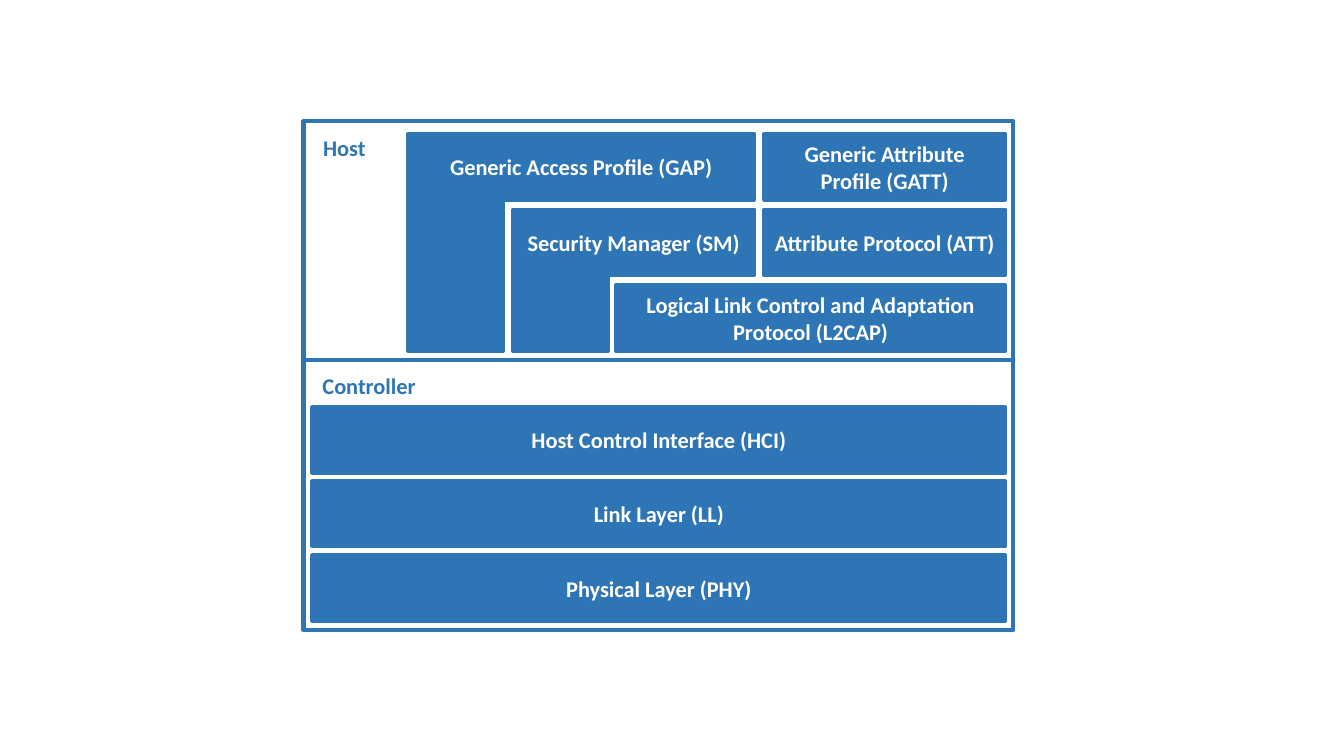
from dataclasses import dataclass

from lxml import etree
from pptx import Presentation
from pptx.dml.color import RGBColor
from pptx.enum.shapes import MSO_CONNECTOR, MSO_SHAPE
from pptx.enum.text import MSO_ANCHOR, MSO_AUTO_SIZE, PP_ALIGN
from pptx.oxml.ns import qn
from pptx.util import Emu, Pt

RECT = MSO_SHAPE.RECTANGLE
LINE = MSO_CONNECTOR.STRAIGHT
MIDDLE = MSO_ANCHOR.MIDDLE
GROW = MSO_AUTO_SIZE.SHAPE_TO_FIT_TEXT
LEFT, CENTER = PP_ALIGN.LEFT, PP_ALIGN.CENTER

SCALE = 9144  # EMU in one px, at 100 px to the inch
BLANK = 6


@dataclass(frozen=True)
class Theme:
    blue: RGBColor = RGBColor(0x2E, 0x75, 0xB6)
    white: RGBColor = RGBColor(0xFF, 0xFF, 0xFF)
    font: str = "Calibri"
    size: Pt = Pt(16)
    rule: Pt = Pt(3)


THEME = Theme()

# Frame and columns of the protocol stack
EDGE, TOP, WIDTH, DEPTH = 301, 120, 704, 505
SPLIT = 357
INNER, RIGHT = 310, 997
HIGH = 65
ROWS = [133 + 75 * i for i in range(3)]
BASE = ROWS[-1] + HIGH
GAP_X, SM_X, L2CAP_X, ATT_X = 405, 509, 611, 758
SM_END = 748
LEG = 94

HOST = [
    ("Logical Link Control and Adaptation Protocol (L2CAP)", L2CAP_X, RIGHT, 2),
    ("Attribute Protocol (ATT)", ATT_X, RIGHT, 1),
    ("Generic Attribute Profile (GATT)", ATT_X, RIGHT, 0),
    ("Security Manager (SM)", SM_X, SM_END, 1),
    ("Generic Access Profile (GAP)", GAP_X, SM_END, 0),
]
CONTROL = ["Host Control Interface (HCI)", "Link Layer (LL)",
           "Physical Layer (PHY)"]


def px(*sizes):
    return [Emu(size * SCALE) for size in sizes]


def write(frame, text, color, align):
    frame.text = text
    para = frame.paragraphs[0]
    para.alignment = align
    font = para.font
    font.name, font.size, font.bold = THEME.font, THEME.size, True
    font.color.rgb = color


def stroke(line):
    line.color.rgb = THEME.blue
    line.width = THEME.rule


def add_box(slide, left, top, width, height, text="", filled=True):
    box = slide.shapes.add_shape(RECT, *px(left, top, width, height))
    box.shadow.inherit = False
    stroke(box.line)
    if filled:
        box.fill.solid()
        box.fill.fore_color.rgb = THEME.blue
    else:
        box.fill.background()
    if text:
        box.text_frame.word_wrap = True
        box.text_frame.vertical_anchor = MIDDLE
        write(box.text_frame, text, THEME.white, CENTER)


def add_label(slide, text, top, width, align, wrap):
    label = slide.shapes.add_textbox(*px(INNER, top, width, 37))
    label.text_frame.word_wrap = wrap
    label.text_frame.auto_size = GROW
    write(label.text_frame, text, THEME.blue, align)


def add_rule(slide, left, right, top):
    rule = slide.shapes.add_connector(LINE, *px(left, top, right, top))
    stroke(rule.line)
    etree.SubElement(rule.element.spPr, qn("a:effectLst"))


def add_leg(slide, left, row):
    """Extend a host layer from the foot of its row down to the base."""
    top = ROWS[row] + HIGH + 1
    add_box(slide, left, top, LEG, BASE - top)


def main():
    deck = Presentation()
    deck.slide_width, deck.slide_height = px(1333, 750)
    slide = deck.slides.add_slide(deck.slide_layouts[BLANK])

    add_box(slide, EDGE, TOP, WIDTH, DEPTH, filled=False)
    add_rule(slide, EDGE, EDGE + WIDTH, SPLIT)

    add_label(slide, "Host", 128, 63, CENTER, False)
    for name, left, right, row in HOST:
        add_box(slide, left, ROWS[row], right - left, HIGH, name)
    add_leg(slide, SM_X, 1)
    add_leg(slide, GAP_X, 0)

    add_label(slide, "Controller", 364, 163, LEFT, True)
    for i, name in enumerate(CONTROL):
        add_box(slide, INNER, 404 + 147 * i // 2, RIGHT - INNER, HIGH, name)

    deck.save("out.pptx")


if __name__ == "__main__":
    main()
